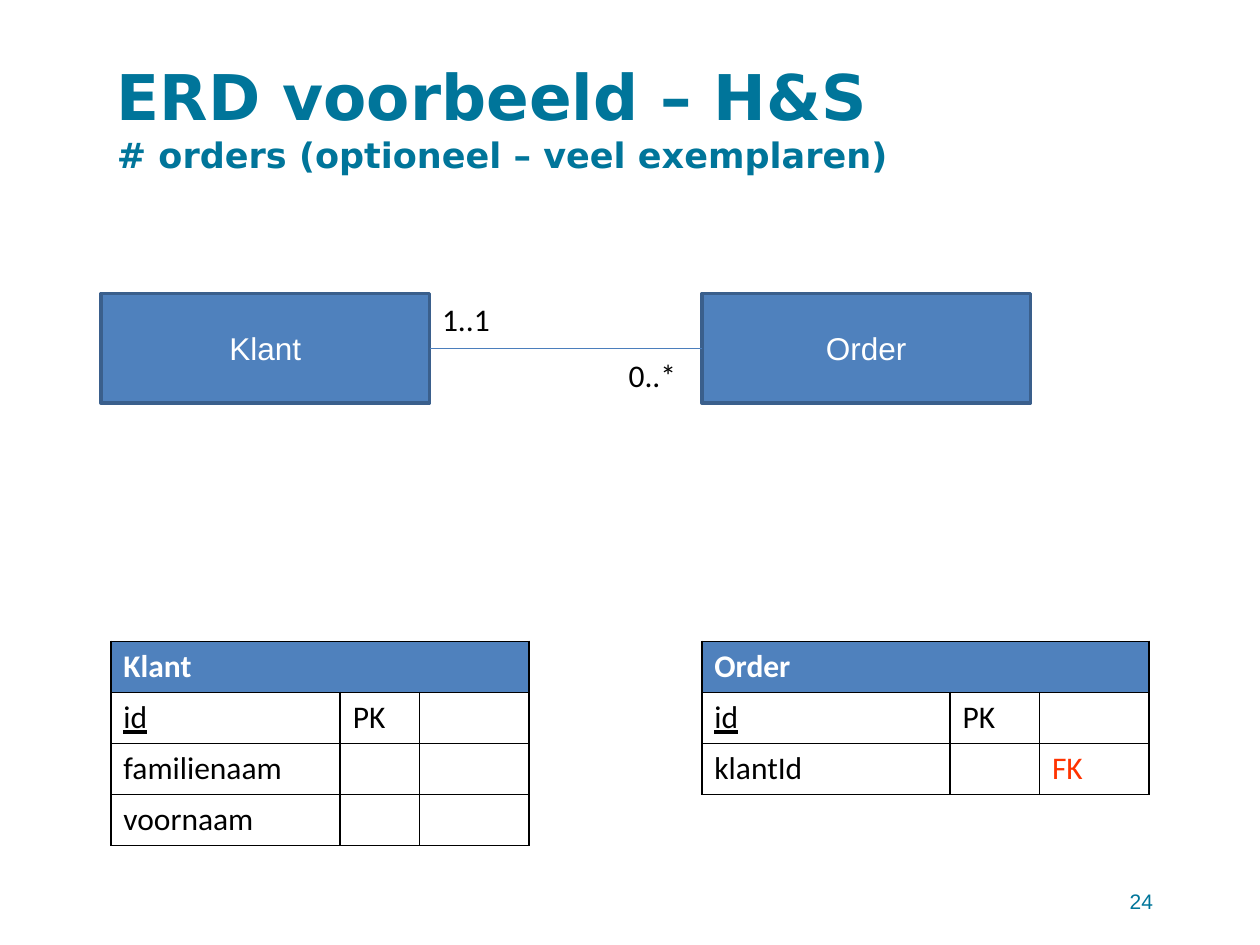
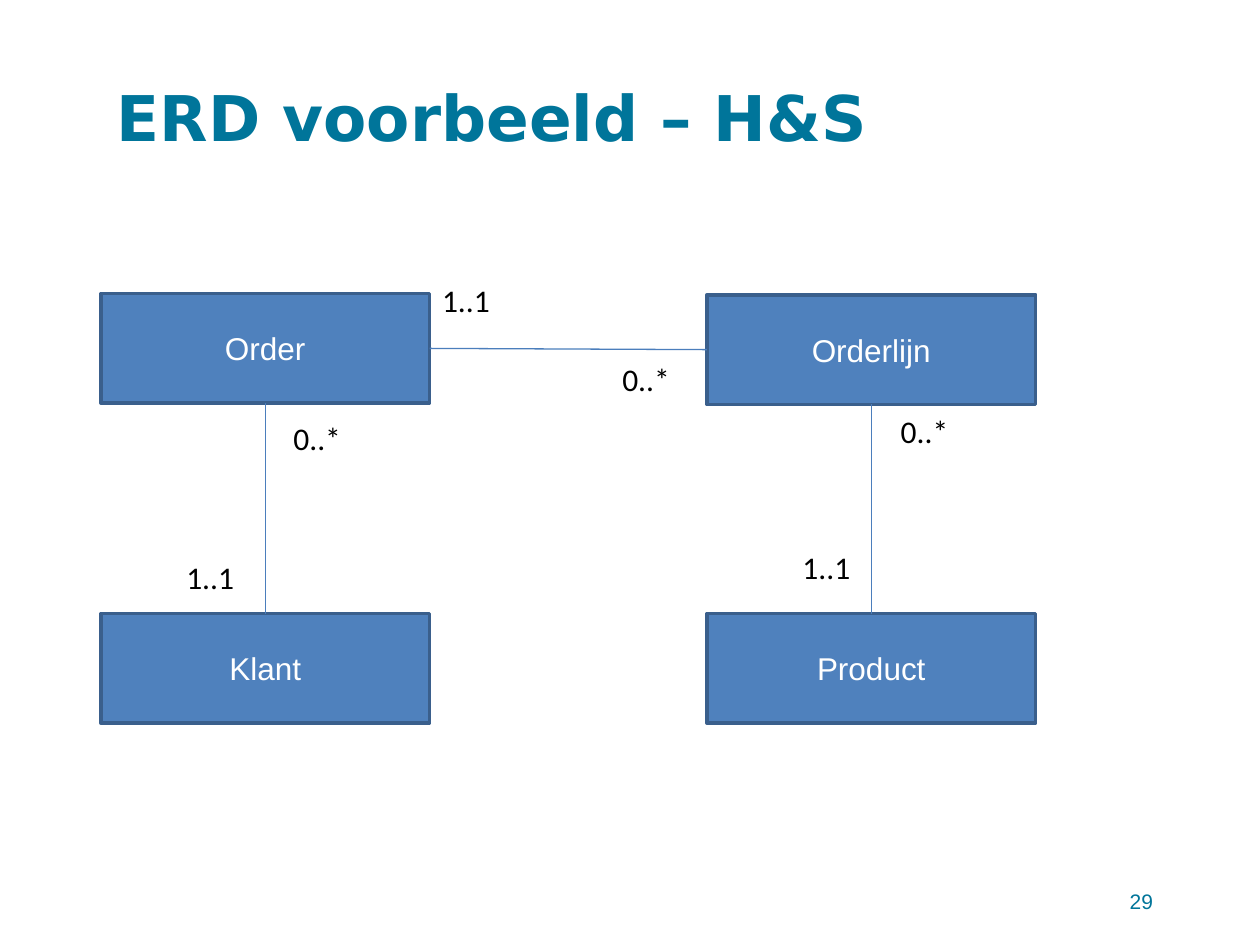
from lxml.etree import SubElement
from pptx import Presentation
from pptx.dml.color import RGBColor
from pptx.enum.shapes import MSO_CONNECTOR, MSO_SHAPE
from pptx.enum.text import MSO_ANCHOR, PP_ALIGN
from pptx.oxml.ns import qn
from pptx.util import Inches, Pt

TEAL = RGBColor(0x00, 0x75, 0x9A)
BLUE = RGBColor(0x4F, 0x81, 0xBD)
BOX_EDGE = RGBColor(0x3A, 0x5F, 0x8C)
LINK_BLUE = RGBColor(0x4B, 0x7E, 0xBC)
WHITE = RGBColor(0xFF, 0xFF, 0xFF)
BLACK = RGBColor(0x00, 0x00, 0x00)
RED = RGBColor(0xFF, 0x33, 0x00)

TITLE_FONT, BOX_FONT, BODY_FONT = "DejaVu Sans", "Arial", "Calibri"
TITLE = "ERD voorbeeld – H&S"

BOX_WIDTH, BOX_HEIGHT = 2.61, 0.87
LEFT_COLUMN = 0.8
TOP_ROW, BOTTOM_ROW = 2.33, 4.87
TABLE_TOP, ROW_HEIGHT = 5.09, 0.405

# Connection sites of a rectangle
TOP, LEFT, BOTTOM, RIGHT = range(4)


def format_runs(paragraph, font_name, size, color, bold=False):
    for run in paragraph.runs:
        font = run.font
        font.name, font.size, font.bold = font_name, Pt(size), bold
        font.color.rgb = color


def add_text(slide, left, top, width, height, text, anchor=MSO_ANCHOR.TOP):
    """Add a wrapping text box and return its paragraph for formatting."""
    box = slide.shapes.add_textbox(
        Inches(left), Inches(top), Inches(width), Inches(height))
    text_frame = box.text_frame
    text_frame.word_wrap = True
    text_frame.vertical_anchor = anchor
    paragraph = text_frame.paragraphs[0]
    paragraph.text = text
    return paragraph


def add_erd_slide(presentation, number, subtitle=None):
    """Add a slide with the shared title, an optional subtitle and its number."""
    slide = presentation.slides.add_slide(presentation.slide_layouts[6])
    text = f"{TITLE}\v{subtitle}" if subtitle else TITLE
    title = add_text(slide, 0.83, 0.3, 8.67, 1.25, text, MSO_ANCHOR.MIDDLE)
    format_runs(title, TITLE_FONT, 36, TEAL, bold=True)
    if subtitle:
        title.runs[-1].font.size = Pt(20)

    footer = add_text(slide, 6.92, 6.95, 2.33, 0.4, str(number), MSO_ANCHOR.MIDDLE)
    footer.alignment = PP_ALIGN.RIGHT
    format_runs(footer, BOX_FONT, 12, TEAL)
    return slide


def add_entity(slide, left, top, name):
    shape = slide.shapes.add_shape(
        MSO_SHAPE.RECTANGLE, Inches(left), Inches(top),
        Inches(BOX_WIDTH), Inches(BOX_HEIGHT))
    shape.shadow.inherit = False
    shape.fill.solid()
    shape.fill.fore_color.rgb = BLUE
    shape.line.color.rgb = BOX_EDGE
    shape.line.width = Pt(2)
    shape.text_frame.text = name
    shape.text_frame.vertical_anchor = MSO_ANCHOR.MIDDLE
    paragraph = shape.text_frame.paragraphs[0]
    paragraph.alignment = PP_ALIGN.CENTER
    format_runs(paragraph, BOX_FONT, 18, WHITE)
    return shape


def add_relation(slide, start, start_site, end, end_site):
    """Join two entities with a line glued to their connection sites."""
    connector = slide.shapes.add_connector(MSO_CONNECTOR.STRAIGHT, 0, 0, 0, 0)
    connector.begin_connect(start, start_site)
    connector.end_connect(end, end_site)
    connector.line.color.rgb = LINK_BLUE
    connector.line.width = Pt(0.75)
    SubElement(connector._element.spPr, qn("a:effectLst"))


def add_cardinality(slide, left, top, text):
    paragraph = add_text(slide, left, top, 0.68, 0.4, text)
    format_runs(paragraph, BODY_FONT, 18, BLACK)


def add_borders(cell):
    properties = cell._tc.get_or_add_tcPr()
    for side in ("lnL", "lnR", "lnT", "lnB"):
        line = SubElement(properties, qn(f"a:{side}"), w=str(Pt(1)))
        fill = SubElement(line, qn("a:solidFill"))
        SubElement(fill, qn("a:srgbClr"), val=str(BLACK))


def add_entity_table(slide, left, column_widths, name, fields):
    """Add a table with a merged name row above rows of field, PK and FK."""
    rows = [(name, "", ""), *fields]
    frame = slide.shapes.add_table(
        len(rows), len(column_widths), Inches(left), Inches(TABLE_TOP),
        Inches(sum(column_widths)), Inches(ROW_HEIGHT * len(rows)))
    table = frame.table
    table.first_row = table.horz_banding = False
    for column, width in zip(table.columns, column_widths):
        column.width = Inches(width)
    table.cell(0, 0).merge(table.cell(0, len(column_widths) - 1))

    for row_index, row in enumerate(rows):
        table.rows[row_index].height = Inches(ROW_HEIGHT)
        is_header = row_index == 0
        for column_index, text in enumerate(row):
            cell = table.cell(row_index, column_index)
            add_borders(cell)
            if is_header:
                cell.fill.solid()
                cell.fill.fore_color.rgb = BLUE
            else:
                cell.fill.background()
            paragraph = cell.text_frame.paragraphs[0]
            if not text:
                paragraph.font.size = Pt(18)
                continue
            paragraph.text = text
            color = WHITE if is_header else RED if text == "FK" else BLACK
            format_runs(paragraph, BODY_FONT, 18, color, bold=is_header)
            if text == "id":
                paragraph.runs[0].font.underline = True


def build_customer_order_slide(presentation):
    slide = add_erd_slide(presentation, 24, "# orders (optioneel – veel exemplaren)")
    order_left = 5.57
    add_entity_table(slide, 0.88, (1.82, 0.63, 0.87), "Klant", [
        ("id", "PK", ""), ("familienaam", "", ""), ("voornaam", "", "")])
    add_entity_table(slide, order_left, (1.97, 0.71, 0.87), "Order", [
        ("id", "PK", ""), ("klantId", "", "FK")])
    customer = add_entity(slide, LEFT_COLUMN, TOP_ROW, "Klant")
    order = add_entity(slide, order_left, TOP_ROW, "Order")
    add_relation(slide, customer, RIGHT, order, LEFT)
    add_cardinality(slide, 3.41, 2.33, "1..1")
    add_cardinality(slide, 4.89, 2.78, "0..*")


def build_order_line_slide(presentation):
    slide = add_erd_slide(presentation, 29)
    right_column = 5.61
    order = add_entity(slide, LEFT_COLUMN, TOP_ROW, "Order")
    order_line = add_entity(slide, right_column, TOP_ROW + 0.01, "Orderlijn")
    product = add_entity(slide, right_column, BOTTOM_ROW, "Product")
    customer = add_entity(slide, LEFT_COLUMN, BOTTOM_ROW, "Klant")
    add_relation(slide, order, RIGHT, order_line, LEFT)
    add_relation(slide, order_line, BOTTOM, product, TOP)
    add_relation(slide, order, BOTTOM, customer, TOP)
    for left, top, text in (
        (3.41, 2.18, "1..1"), (4.84, 2.81, "0..*"),
        (6.27, 4.3, "1..1"), (7.05, 3.22, "0..*"),
        (1.38, 4.38, "1..1"), (2.23, 3.28, "0..*"),
    ):
        add_cardinality(slide, left, top, text)


def main():
    presentation = Presentation()
    presentation.slide_width = Inches(10)
    presentation.slide_height = Inches(7.5)
    build_customer_order_slide(presentation)
    build_order_line_slide(presentation)
    presentation.save("out.pptx")


if __name__ == "__main__":
    main()
